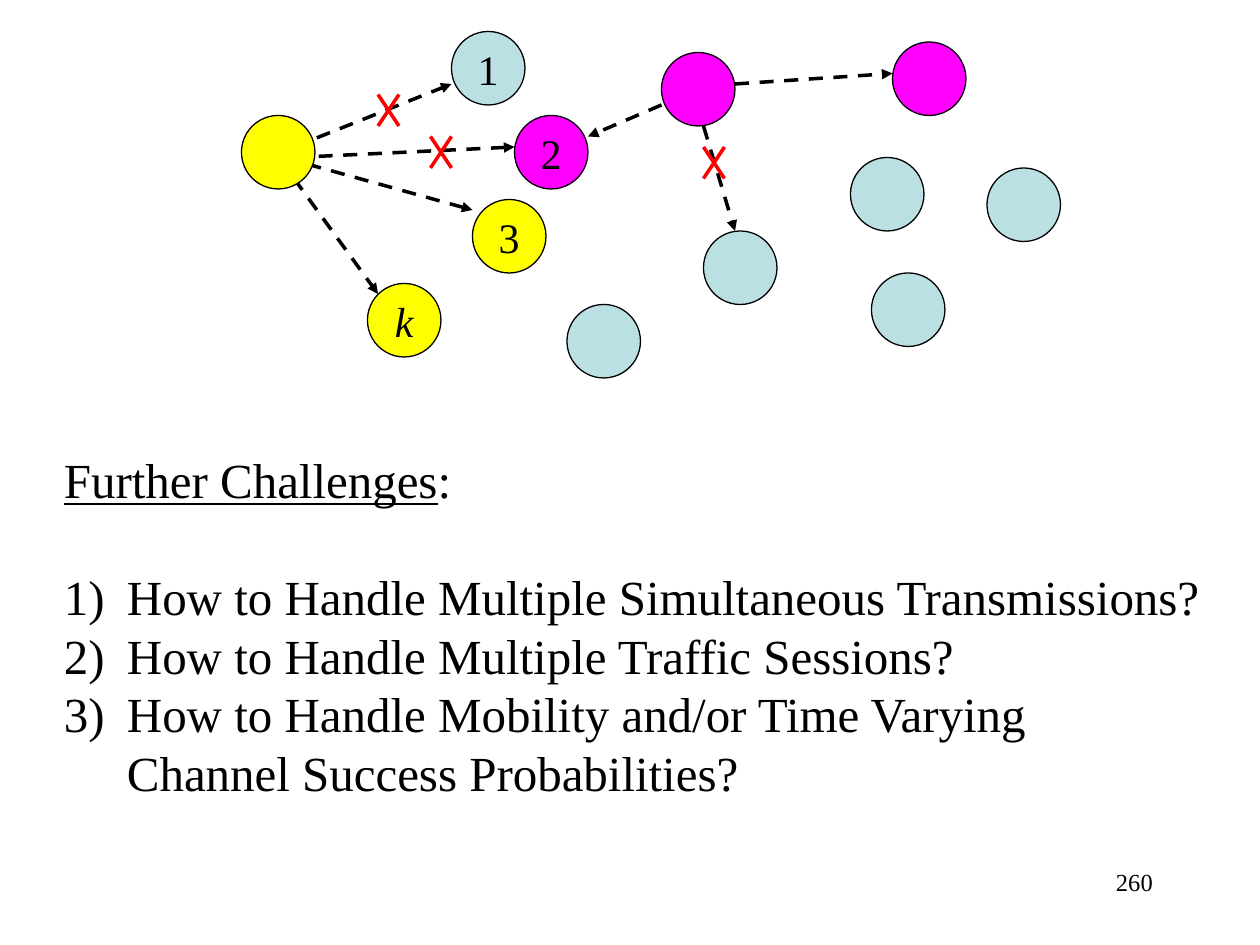
from lxml.etree import SubElement
from pptx import Presentation
from pptx.dml.color import RGBColor
from pptx.enum.dml import MSO_LINE
from pptx.enum.shapes import MSO_CONNECTOR, MSO_SHAPE
from pptx.enum.text import MSO_ANCHOR, PP_ALIGN
from pptx.oxml.ns import qn
from pptx.util import Cm, Pt

BLACK = RGBColor(0x00, 0x00, 0x00)
RED = RGBColor(0xFF, 0x00, 0x00)
YELLOW = RGBColor(0xFF, 0xFF, 0x00)
MAGENTA = RGBColor(0xFF, 0x00, 0xFF)
PALE_BLUE = RGBColor(0xBB, 0xE0, 0xE3)
FONT = "Times New Roman"
LINE_HEIGHT = Pt(33.5)

# The diagram sits on a grid of twelve steps to the inch
STEP_CM = 2.54 / 12
NODE_SIZE = 7

# Nodes: left, top, colour, label
NODES = [
    (23, 11, YELLOW, ""),
    (43, 3, PALE_BLUE, "1"),
    (49, 11, MAGENTA, "2"),
    (45, 19, YELLOW, "3"),
    (35, 27, YELLOW, "k"),
    (63, 5, MAGENTA, ""),
    (67, 22, PALE_BLUE, ""),
    (81, 15, PALE_BLUE, ""),
    (83, 26, PALE_BLUE, ""),
    (85, 4, MAGENTA, ""),
    (94, 16, PALE_BLUE, ""),
    (54, 29, PALE_BLUE, ""),
]

# Transmissions: from x, from y, to x, to y
SOURCE_ARROWS = [
    (28, 17, 36, 28),
    (27, 15, 45, 20),
    (28, 15, 49, 14),
    (28, 14, 43, 8),
]
RELAY_ARROWS = [
    (63, 10, 56, 13),
    (67, 12, 70, 22),
    (70, 8, 85, 7),
]

# Failed transmissions: left, top of each cross
CROSSES = [(41, 13), (36, 9), (67, 14)]
CROSS_WIDTH, CROSS_HEIGHT = 2, 3

HEADING = [("Further Challenges", True), (":", False)]
CHALLENGES = [
    "How to Handle Multiple Simultaneous Transmissions?",
    "How to Handle Multiple Traffic Sessions?",
    "How to Handle Mobility and/or Time Varying",
]
CONTINUATION = "Channel Success Probabilities?"
PAGE_NUMBER = "260"


def grid(steps):
    return Cm(steps * STEP_CM)


def add_run(paragraph, text, size, underline=False, italic=False):
    run = paragraph.add_run()
    run.text = text
    font = run.font
    font.name, font.size = FONT, Pt(size)
    font.color.rgb = BLACK
    font.underline, font.italic = underline, italic


def add_line(shapes, ends, color):
    line = shapes.add_connector(MSO_CONNECTOR.STRAIGHT, *map(grid, ends))
    line.line.color.rgb = color
    line.line.width = Pt(2)
    SubElement(line._element.spPr, qn("a:effectLst"))
    return line


def add_arrow(shapes, ends):
    arrow = add_line(shapes, ends, BLACK)
    arrow.line.dash_style = MSO_LINE.DASH
    SubElement(arrow.line._get_or_add_ln(), qn("a:tailEnd"), type="triangle")


def add_node(shapes, left, top, color, label):
    node = shapes.add_shape(MSO_SHAPE.OVAL, grid(left), grid(top),
                            grid(NODE_SIZE), grid(NODE_SIZE))
    node.shadow.inherit = False
    node.fill.solid()
    node.fill.fore_color.rgb = color
    node.line.color.rgb = BLACK
    node.line.width = Pt(0.75)
    if label:
        frame = node.text_frame
        frame.word_wrap = False
        frame.vertical_anchor = MSO_ANCHOR.MIDDLE
        paragraph = frame.paragraphs[0]
        paragraph.alignment = PP_ALIGN.CENTER
        add_run(paragraph, label, 24, italic=label.isalpha())


def add_cross(shapes, left, top):
    right, bottom = left + CROSS_WIDTH, top + CROSS_HEIGHT
    group = shapes.add_group_shape()
    add_line(group.shapes, (left, bottom, right, top), RED)
    add_line(group.shapes, (right, bottom, left, top), RED)


def set_indent(paragraph, numbered):
    properties = paragraph._p.get_or_add_pPr()
    properties.set("marL", str(Cm(1.27)))
    properties.set("indent", str(-Cm(1.27) if numbered else 0))
    if numbered:
        color = SubElement(properties, qn("a:buClr"))
        SubElement(color, qn("a:srgbClr"), val=str(BLACK))
        SubElement(properties, qn("a:buFont"), typeface=FONT)
        SubElement(properties, qn("a:buAutoNum"), type="arabicParenR")


def add_challenges(shapes):
    box = shapes.add_textbox(Cm(1.04), Cm(8.94), Cm(23.44), Cm(7.37))
    frame = box.text_frame
    frame.word_wrap = False
    heading = frame.paragraphs[0]
    for text, underline in HEADING:
        add_run(heading, text, 28, underline=underline)
    for text in CHALLENGES + [CONTINUATION]:
        paragraph = frame.add_paragraph()
        set_indent(paragraph, numbered=text != CONTINUATION)
        add_run(paragraph, text, 28)
    for paragraph in frame.paragraphs:
        paragraph.line_spacing = LINE_HEIGHT
    # One open line between the heading and the list
    frame.paragraphs[1].space_before = LINE_HEIGHT


def add_page_number(shapes):
    box = shapes.add_textbox(Cm(18.2), Cm(17.36), Cm(5.29), Cm(1.27))
    box.text_frame.word_wrap = True
    paragraph = box.text_frame.paragraphs[0]
    paragraph.alignment = PP_ALIGN.RIGHT
    add_run(paragraph, PAGE_NUMBER, 14)


def main():
    presentation = Presentation()
    presentation.slide_width, presentation.slide_height = Cm(25.4), Cm(19.05)
    slide = presentation.slides.add_slide(presentation.slide_layouts[6])
    shapes = slide.shapes

    # Network diagram, from back to front
    for ends in SOURCE_ARROWS:
        add_arrow(shapes, ends)
    for node in NODES:
        add_node(shapes, *node)
    for ends in RELAY_ARROWS:
        add_arrow(shapes, ends)
    for corner in CROSSES:
        add_cross(shapes, *corner)

    # Text
    add_challenges(shapes)
    add_page_number(shapes)
    presentation.save("out.pptx")


if __name__ == "__main__":
    main()
